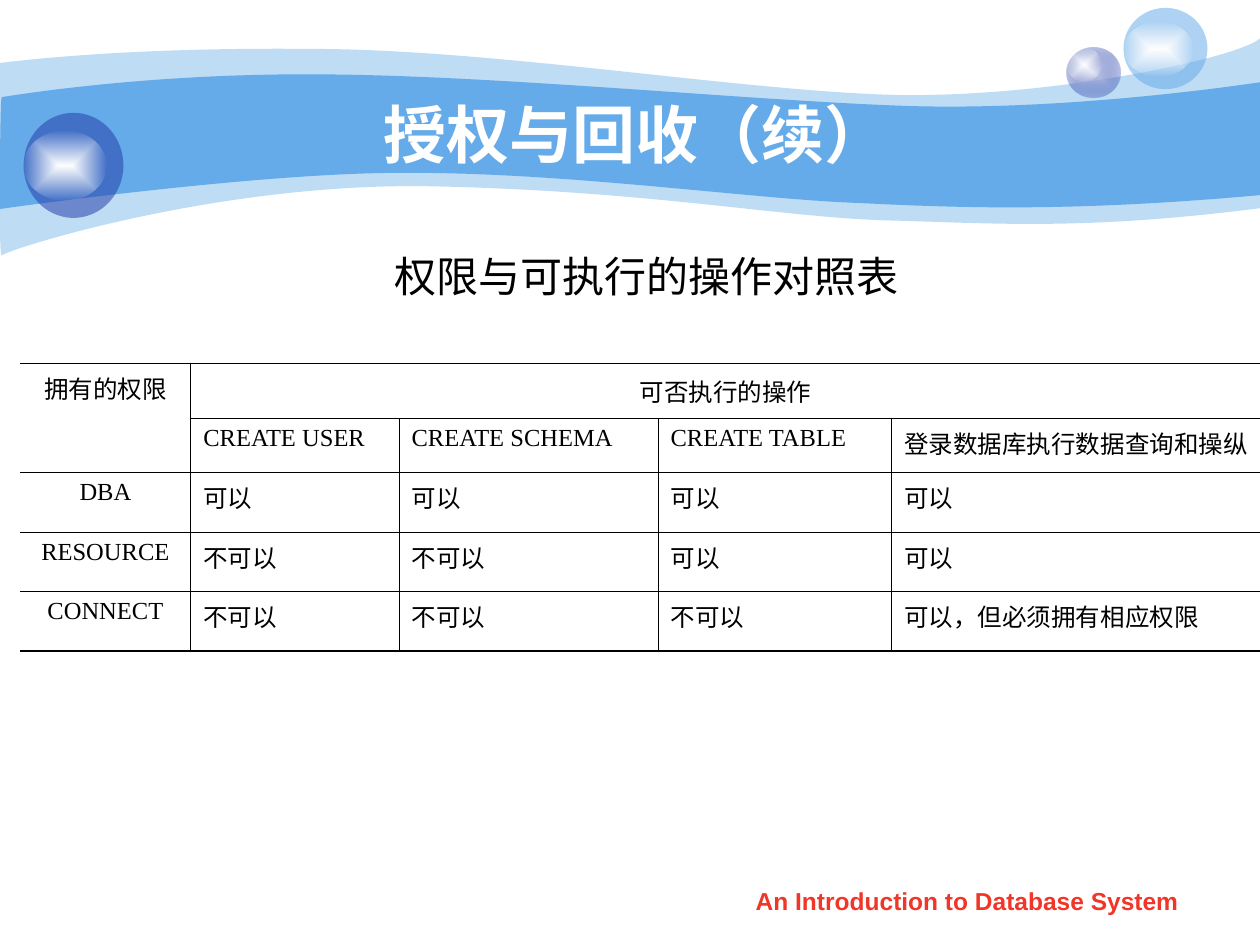
from lxml import etree
from pptx import Presentation
from pptx.dml.color import RGBColor
from pptx.enum.shapes import MSO_SHAPE
from pptx.enum.text import MSO_ANCHOR, MSO_AUTO_SIZE, PP_ALIGN
from pptx.oxml.ns import qn
from pptx.util import Pt

OVAL = MSO_SHAPE.OVAL
TOP, MIDDLE = MSO_ANCHOR.TOP, MSO_ANCHOR.MIDDLE
LEFT, CENTER = PP_ALIGN.LEFT, PP_ALIGN.CENTER
GROW = MSO_AUTO_SIZE.SHAPE_TO_FIT_TEXT

SKY, NAVY, WHITE, BLACK, RED = "65AAE9", "233DA9", "FFFFFF", "000000", "F03628"
SERIF, SANS = "Times New Roman", "Arial"
THIN, THICK = 0.45, 1.08

OUTER_WAVE = [
    (0, 36), (17, 34, 77, 27, 178, 28), (278, 28, 414, 50.5, 503, 54),
    (592, 57.5, 706, 34, 720, 22), (720, 119), (618, 132, 567, 127.5, 508, 126),
    (448, 124.5, 371, 109, 247, 106.5), (124, 104, 3, 143, 1, 146), (-1, 150, 0, 54, 0, 36),
]
INNER_WAVE = [
    (1, 55.5), (1.5, 55.5, 79, 42, 178.5, 42.5), (278, 42.5, 428.5, 57.5, 517, 60.5),
    (605.5, 63.5, 703, 49.5, 720, 47), (720, 111.5), (614, 121, 551, 119, 491, 116),
    (431, 114, 322, 98, 228, 98.8), (146, 98.8, -1.5, 119.5, -0.5, 119.5),
    (0, 119.5, 0, 55.5, 1, 55.5),
]
COLUMN_WIDTHS = [97.5, 119, 148, 133.5, 211]
ROW_HEIGHTS = [31.5, 31, 34, 34, 34]
ROWS = [
    ["拥有的权限", "可否执行的操作", "", "", ""],
    ["", "CREATE USER", "CREATE SCHEMA", "CREATE TABLE", "登录数据库执行数据查询和操纵"],
    ["DBA", "可以", "可以", "可以", "可以"],
    ["RESOURCE", "不可以", "不可以", "可以", "可以"],
    ["CONNECT", "不可以", "不可以", "不可以", "可以，但必须拥有相应权限"],
]


def rgb(value):
    """Return the colour for a hex string."""
    return RGBColor.from_string(value)


def set_alpha(color_parent, percent):
    """Give the colour inside an element an opacity in percent."""
    color = color_parent.find(".//" + qn("a:srgbClr"))
    etree.SubElement(color, qn("a:alpha"), val=str(percent * 1000))


def fill_solid(sp, color, opacity=100):
    """Fill a shape evenly, without line or shadow."""
    sp.shadow.inherit = False
    sp.line.fill.background()
    sp.fill.solid()
    sp.fill.fore_color.rgb = rgb(color)
    if opacity < 100:
        set_alpha(sp._element.spPr.find(qn("a:solidFill")), opacity)


def fill_glow(sp, center, edge, edge_opacity):
    """Fill a shape with a gradient that spreads from its centre."""
    sp.shadow.inherit = False
    sp.line.fill.background()
    sp.fill.gradient()
    for stop, color, position in zip(sp.fill.gradient_stops, (center, edge), (0, 1)):
        stop.color.rgb = rgb(color)
        stop.position = position
    grad = sp._element.spPr.find(qn("a:gradFill"))
    set_alpha(grad.findall(".//" + qn("a:gs"))[1], edge_opacity)
    grad.remove(grad.find(qn("a:lin")))
    spread = etree.SubElement(grad, qn("a:path"), path="rect")
    sides = dict.fromkeys("ltrb", "50000")
    etree.SubElement(spread, qn("a:fillToRect"), **sides)


def add_wave(s, left, top, segments, color, opacity=100):
    """Draw a closed outline of straight and cubic segments."""
    points = [(Pt(left + segment[i]), Pt(top + segment[i + 1]))
              for segment in segments for i in range(0, len(segment), 2)]
    builder = s.shapes.build_freeform(*points[0], scale=1.0)
    builder.add_line_segments(points[1:], close=True)
    sp = builder.convert_to_shape()
    steps = iter(sp._element.findall(".//" + qn("a:lnTo")))
    for segment in segments[1:]:
        step = next(steps)
        if len(segment) == 6:
            step.tag = qn("a:cubicBezTo")
            for _ in range(2):
                extra = next(steps)
                step.append(extra[0])
                extra.getparent().remove(extra)
    fill_solid(sp, color, opacity)


def add_orb(s, left, top, width, height, gloss, color, opacity, center=None):
    """Draw a ball with a glossy highlight given as top offset, width and height."""
    group = s.shapes.add_group_shape()
    ball = group.shapes.add_shape(OVAL, Pt(left), Pt(top), Pt(width), Pt(height))
    if center:
        fill_glow(ball, center, color, opacity)
    else:
        fill_solid(ball, color, opacity)
    offset, gloss_width, gloss_height = gloss
    shine = group.shapes.add_shape(
        OVAL, Pt(left), Pt(top + offset), Pt(gloss_width), Pt(gloss_height))
    fill_glow(shine, WHITE, "FEFEFE", 0)


def add_banner(s, left, top):
    """Draw the waves and balls at the head of the slide."""
    add_wave(s, left, top, OUTER_WAVE, SKY, 41)
    add_wave(s, left, top, INNER_WAVE, SKY)
    add_orb(s, left + 609.5, top + 27, 30.5, 29, (0, 20, 19.5), NAVY, 31, "C6CCE8")
    add_orb(s, left + 642, top + 4.5, 48, 46.5, (8, 40, 31), SKY, 53)
    add_orb(s, left + 13.5, top + 64.5, 57, 60, (10, 47.5, 40), NAVY, 53)


def add_text(s, left, top, width, height, text, size, font, color,
             bold=False, align=CENTER, anchor=TOP, wrap=True):
    """Place one line of text in a box."""
    tf = s.shapes.add_textbox(Pt(left), Pt(top), Pt(width), Pt(height)).text_frame
    tf.word_wrap = wrap
    tf.vertical_anchor = anchor
    if not wrap:
        tf.auto_size = GROW
    p = tf.paragraphs[0]
    p.text = text
    p.alignment = align
    p.font.size, p.font.name, p.font.bold = Pt(size), font, bold
    p.font.color.rgb = rgb(color)


def set_borders(cell, **widths):
    """Set the cell's border widths; zero leaves a side open."""
    tc_pr = cell._tc.get_or_add_tcPr()
    for side in "LRTB":
        width = widths[side]
        ln = etree.SubElement(tc_pr, qn("a:ln" + side), w=str(Pt(width)))
        if width:
            solid = etree.SubElement(ln, qn("a:solidFill"))
            etree.SubElement(solid, qn("a:srgbClr"), val=BLACK)
        else:
            etree.SubElement(ln, qn("a:noFill"))


def add_privilege_table(s, left, top):
    """Build the table of privileges and permitted operations."""
    last_row, last_col = len(ROWS) - 1, len(COLUMN_WIDTHS) - 1
    table = s.shapes.add_table(
        len(ROWS), len(COLUMN_WIDTHS), Pt(left), Pt(top),
        Pt(sum(COLUMN_WIDTHS)), Pt(sum(ROW_HEIGHTS))).table
    table.first_row = table.horz_banding = False
    for column, width in zip(table.columns, COLUMN_WIDTHS):
        column.width = Pt(width)
    for row, height in zip(table.rows, ROW_HEIGHTS):
        row.height = Pt(height)
    for i, texts in enumerate(ROWS):
        for j, text in enumerate(texts):
            cell = table.cell(i, j)
            set_borders(cell, L=THIN if j else 0, R=THIN if j < last_col else 0,
                        T=THIN if i else THICK, B=THIN if i < last_row else THICK)
            cell.fill.background()
            if text:
                p = cell.text_frame.paragraphs[0]
                p.text = text
                p.alignment = CENTER if i == 0 or j == 0 else LEFT
                p.font.size, p.font.name = Pt(14), SERIF
                p.font.color.rgb = rgb(BLACK)
    table.cell(0, 0).merge(table.cell(1, 0))
    table.cell(0, 1).merge(table.cell(0, last_col))
    table.cell(0, 1).vertical_anchor = MIDDLE


def main():
    """Build and save the slide."""
    prs = Presentation()
    prs.slide_width, prs.slide_height = Pt(720), Pt(540)
    s = prs.slides.add_slide(prs.slide_layouts[6])
    add_banner(s, 0, 0)
    add_text(s, 72, 53.5, 582, 45, "授权与回收（续）", 36, SANS, WHITE, bold=True, anchor=MIDDLE)
    add_privilege_table(s, 11.5, 207.7)
    add_text(s, 218.5, 139.5, 308, 36, "权限与可执行的操作对照表", 24, SERIF, BLACK,
             align=LEFT, anchor=MIDDLE, wrap=False)
    add_text(s, 410.75, 502.5, 284, 25, "An Introduction to Database System", 14, SANS, RED, bold=True)
    prs.save("out.pptx")


if __name__ == "__main__":
    main()
